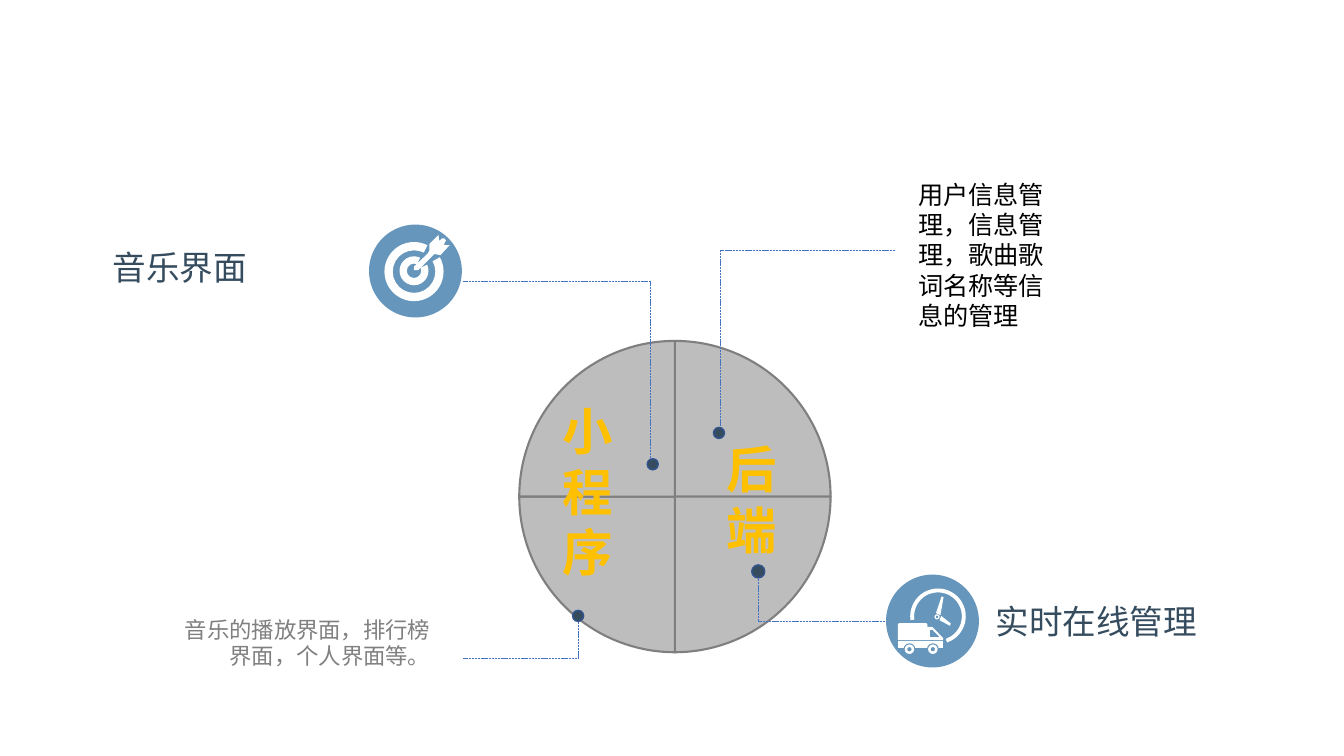
"""Build the slide on the mini program and its back end."""
from lxml.etree import SubElement
from pptx import Presentation
from pptx.chart.data import CategoryChartData
from pptx.dml.color import RGBColor
from pptx.enum.chart import XL_CHART_TYPE
from pptx.enum.dml import MSO_LINE
from pptx.enum.shapes import MSO_CONNECTOR, MSO_SHAPE
from pptx.enum.text import MSO_AUTO_SIZE, PP_ALIGN
from pptx.oxml.ns import qn
from pptx.util import Cm, Pt

WHITE = RGBColor(0xFF, 0xFF, 0xFF)
BLACK = RGBColor(0, 0, 0)
SILVER = RGBColor(0xBD, 0xBD, 0xBD)
GREY = RGBColor(0x7F, 0x7F, 0x7F)
DIM = RGBColor(0x80, 0x80, 0x80)
NAVY = RGBColor(0x35, 0x4B, 0x5E)
EDGE = RGBColor(0x32, 0x54, 0x91)
BLUE = RGBColor(0x44, 0x72, 0xC4)
SKY = RGBColor(0x66, 0x96, 0xBC)
GOLD = RGBColor(0xFF, 0xC0, 0x00)
SANS = "Noto Sans CJK SC"
LATIN = "Calibri"

deck = Presentation()
deck.slide_width, deck.slide_height = Cm(33.87), Cm(19.05)
slide = deck.slides.add_slide(deck.slide_layouts[6])
shapes = slide.shapes


def add_form(kind, x, y, size, fill, *adjust):
    form = shapes.add_shape(kind, Cm(x), Cm(y), Cm(size), Cm(size))
    for i, value in enumerate(adjust):
        form.adjustments[i] = value
    form.shadow.inherit = False
    form.fill.solid()
    form.fill.fore_color.rgb = fill
    form.line.fill.background()
    return form


def add_poly(points, fill):
    pen = shapes.build_freeform(*points[0], scale=Cm(0.01))
    pen.add_line_segments(points[1:], close=True)
    form = pen.convert_to_shape()
    form.shadow.inherit = False
    form.fill.solid()
    form.fill.fore_color.rgb = fill
    form.line.fill.background()


data = CategoryChartData()
data.categories = ["1", "2", "3", "4"]
data.add_series("Series 1", [25] * 4)
chart = shapes.add_chart(XL_CHART_TYPE.PIE, Cm(12.5), Cm(8.25), Cm(9.02), Cm(8.53), data).chart
chart.has_title = chart.has_legend = False
chart.font.name, chart.font.size = LATIN, Pt(10)
chart.font.color.rgb = BLACK
plot = chart.plots[0]
plot.vary_by_categories = False
for i in range(4):
    part = plot.series[0].points[i].format
    part.fill.solid()
    part.fill.fore_color.rgb = SILVER
    part.line.color.rgb = GREY
    part.line.width = Pt(1.5)

area = chart._chartSpace.find(".//" + qn("c:plotArea"))
for old in area.findall(qn("c:layout")):
    area.remove(old)
frame = SubElement(area, qn("c:layout"))
area.insert(0, frame)
manual = SubElement(frame, qn("c:manualLayout"))
for tag, value in [("layoutTarget", "inner"), ("xMode", "edge"), ("yMode", "edge"),
                   ("x", "0.06"), ("y", "0.04"), ("w", "0.88"), ("h", "0.92")]:
    SubElement(manual, qn("c:" + tag)).set("val", value)

leads = [
    (11.68, 7.09, 16.38, 11.7, 16.45, 0.28),
    (11.68, 16.59, 14.58, 15.52, 14.57, 0.28),
    (22.38, 15.65, 19.1, 14.4, 19.11, 0.33),
    (22.56, 6.3, 18.16, 10.91, 18.12, 0.28),
]
for far, level, bend, tip, mid, size in leads:
    for x1, y1, x2, y2 in [(far, level, bend, level), (bend, level, bend, tip)]:
        line = shapes.add_connector(MSO_CONNECTOR.STRAIGHT, Cm(x1), Cm(y1), Cm(x2), Cm(y2))
        line.line.color.rgb = BLUE
        line.line.width = Pt(0.5)
        line.line.dash_style = MSO_LINE.SQUARE_DOT
        SubElement(line._element.spPr, qn("a:effectLst"))
    dot = add_form(MSO_SHAPE.OVAL, mid - size / 2, tip - size / 2, size, NAVY)
    dot.line.color.rgb = EDGE
    dot.line.width = Pt(1)

for x, y in [(9.3, 5.66), (22.33, 14.48)]:
    add_form(MSO_SHAPE.OVAL, x, y, 2.34, SKY)

turn = 0.6
for x, y, size, start, end, thick in [
    (9.69, 6.1, 1.49, 331, 297, 0.14),
    (10.07, 6.46, 0.73, 335, 295, 0.25),
    (22.94, 14.83, 1.4, 172, 71, 0.07),
]:
    add_form(MSO_SHAPE.BLOCK_ARC, x, y, size, WHITE, start * turn, end * turn, thick)

dart = [(1043, 681), (1044, 671), (1077, 640), (1082, 632), (1082, 615),
        (1105, 592), (1107, 607), (1114, 601), (1120, 601), (1124, 606),
        (1118, 617), (1133, 618), (1110, 643), (1095, 640), (1054, 681)]
hour = [(2372, 1552), (2396, 1571), (2394, 1577), (2368, 1563)]
minute = [(2359, 1545), (2373, 1503), (2378, 1505), (2370, 1550)]
van = [(2263, 1613), (2263, 1573), (2266, 1570), (2334, 1570), (2337, 1573),
       (2337, 1580), (2350, 1580), (2377, 1608), (2377, 1613)]
base = [(2263, 1616), (2377, 1616), (2377, 1634), (2263, 1634)]
pane = [(2344, 1588), (2350, 1588), (2367, 1605), (2344, 1605)]
for points in (dart, hour, minute, van, base):
    add_poly(points, WHITE)
add_poly(pane, SKY)
add_form(MSO_SHAPE.DONUT, 23.55, 15.48, 0.13, WHITE, 0.25)
for x in (22.92, 23.51):
    add_form(MSO_SHAPE.OVAL, x - 0.15, 16.21, 0.3, SKY)
    add_form(MSO_SHAPE.DONUT, x - 0.12, 16.24, 0.24, WHITE, 0.27)

LEFT, MID, RIGHT = PP_ALIGN.LEFT, PP_ALIGN.CENTER, PP_ALIGN.RIGHT
texts = [
    ("音乐界面", 2.59, 6.1, 3.94, 1.27, 24, SANS, NAVY, LEFT, False),
    ("音乐的播放界面，排行榜界面，个人界面等。", 4.34, 15.39, 6.76, 1.63, 16, SANS, DIM, RIGHT, True),
    ("实时在线管理", 24.84, 15.01, 5.59, 1.27, 24, SANS, NAVY, LEFT, False),
    ("小程序", 13.69, 9.96, 2.24, 4.88, 36, LATIN, GOLD, MID, True),
    ("后端", 17.83, 10.92, 2.24, 3.33, 36, LATIN, GOLD, MID, True),
    ("用户信息管理，信息管理，歌曲歌词名称等信息的管理",
     22.89, 4.39, 3.76, 4.11, 18, LATIN, BLACK, LEFT, True),
]
for text, x, y, w, h, size, face, color, align, wrap in texts:
    box = shapes.add_textbox(Cm(x), Cm(y), Cm(w), Cm(h)).text_frame
    box.word_wrap = wrap
    box.auto_size = MSO_AUTO_SIZE.SHAPE_TO_FIT_TEXT
    para = box.paragraphs[0]
    para.text = text
    para.alignment = align
    para.font.name, para.font.size = face, Pt(size)
    para.font.color.rgb = color
    para.font.bold = color == GOLD

deck.save("out.pptx")
